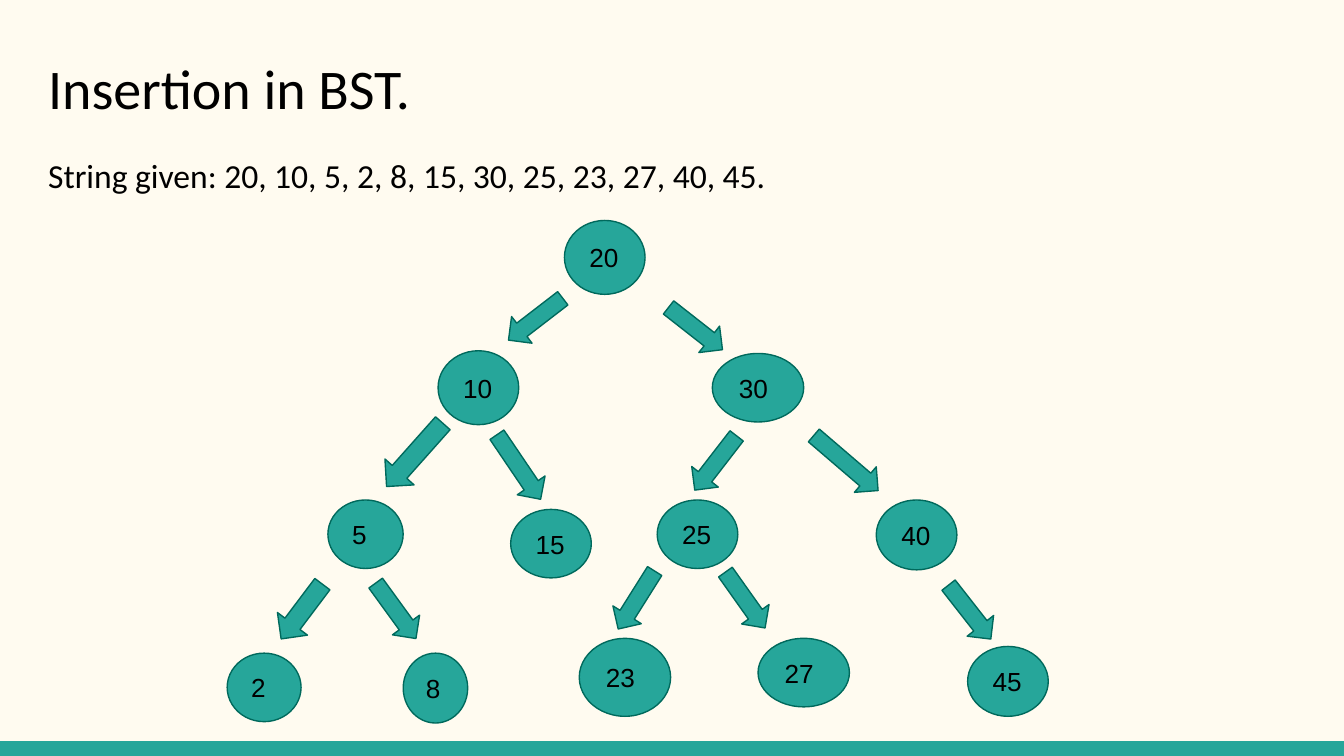
from pptx import Presentation
from pptx.dml.color import RGBColor
from pptx.enum.shapes import MSO_SHAPE
from pptx.enum.text import MSO_ANCHOR, PP_ALIGN
from pptx.util import Inches, Pt

RECT, OVAL, ARROW = MSO_SHAPE.RECTANGLE, MSO_SHAPE.OVAL, MSO_SHAPE.RIGHT_ARROW
TOP, MIDDLE = MSO_ANCHOR.TOP, MSO_ANCHOR.MIDDLE
LEFT = PP_ALIGN.LEFT

CREAM = RGBColor(0xFF, 0xFB, 0xF0)
TEAL = RGBColor(0x26, 0xA6, 0x9A)
DARK_TEAL = RGBColor(0x00, 0x69, 0x5C)
BLACK = RGBColor(0, 0, 0)

# 16:9 slide
WIDTH = 10
HEIGHT = WIDTH * 9 / 16
BAND = 0.11

# Content
TITLE = "Insertion in BST."
KEYS = [20, 10, 5, 2, 8, 15, 30, 25, 23, 27, 40, 45]

# Tree nodes: key -> left, top, width, height
NODES = {
    20: (4.2, 1.64, 0.6, 0.55),
    10: (3.26, 2.61, 0.6, 0.55),
    5: (2.44, 3.72, 0.56, 0.51),
    2: (1.69, 4.86, 0.55, 0.51),
    8: (3, 4.86, 0.48, 0.52),
    15: (3.8, 3.79, 0.6, 0.51),
    30: (5.3, 2.63, 0.68, 0.51),
    25: (4.89, 3.72, 0.6, 0.51),
    23: (4.31, 4.75, 0.68, 0.58),
    27: (5.64, 4.75, 0.68, 0.51),
    40: (6.52, 3.72, 0.6, 0.52),
    45: (7.2, 4.81, 0.6, 0.52),
}

# Arrow into each child: key -> left, top, width, height, rotation
ARROWS = {
    10: (3.73, 2.25, 0.51, 0.25, 142.4),
    5: (2.77, 3.24, 0.63, 0.29, 131.6),
    2: (1.99, 4.41, 0.51, 0.28, 127),
    8: (2.69, 4.42, 0.51, 0.25, 54),
    15: (3.57, 3.35, 0.58, 0.25, 55.9),
    30: (4.92, 2.32, 0.51, 0.25, 38.1),
    25: (5.07, 3.32, 0.51, 0.25, 127.7),
    23: (4.48, 4.34, 0.51, 0.25, 122.2),
    27: (5.29, 4.34, 0.51, 0.25, 54.6),
    40: (5.98, 3.32, 0.63, 0.25, 40.6),
    45: (6.96, 4.43, 0.51, 0.25, 51.9),
}


def write(sp, text, size, font, anchor=TOP):
    tf = sp.text_frame
    margin = Inches(0.1)
    frame = dict(word_wrap=True, vertical_anchor=anchor, margin_left=margin,
                 margin_right=margin, margin_top=margin, margin_bottom=margin)
    for name, value in frame.items():
        setattr(tf, name, value)
    p = tf.paragraphs[0]
    p.alignment = LEFT
    r = p.add_run()
    r.text = text
    for name, value in dict(size=Pt(size), name=font).items():
        setattr(r.font, name, value)
    r.font.color.rgb = BLACK
    return p


def add_text(s, box, text, size):
    return write(s.shapes.add_textbox(*map(Inches, box)), text, size, "Calibri")


def add_teal(s, kind, box, outlined=True):
    sp = s.shapes.add_shape(kind, *map(Inches, box))
    sp.shadow.inherit = False
    sp.fill.solid()
    sp.fill.fore_color.rgb = TEAL
    if outlined:
        sp.line.color.rgb = DARK_TEAL
        sp.line.width = Pt(0.75)
    else:
        sp.line.fill.background()
    return sp


def main():
    prs = Presentation()
    prs.slide_width, prs.slide_height = Inches(WIDTH), Inches(HEIGHT)
    s = prs.slides.add_slide(prs.slide_layouts[6])
    s.background.fill.solid()
    s.background.fill.fore_color.rgb = CREAM

    # Footer band
    add_teal(s, RECT, (0, HEIGHT - BAND, WIDTH, BAND), outlined=False)

    # Title and key list
    add_text(s, (0.26, 0.3, 9.32, 0.67), TITLE, 30)
    given = "String given: " + ", ".join(map(str, KEYS)) + "."
    p = add_text(s, (0.26, 1.01, 9.15, 4.37), given, 18)
    p.line_spacing = 1.15
    p.space_after = Pt(16)

    # Tree, in insertion order
    for key in KEYS:
        if key in ARROWS:
            *box, angle = ARROWS[key]
            add_teal(s, ARROW, box).rotation = angle
        write(add_teal(s, OVAL, NODES[key]), str(key), 14, "Arial", MIDDLE)

    prs.save("out.pptx")


if __name__ == "__main__":
    main()
